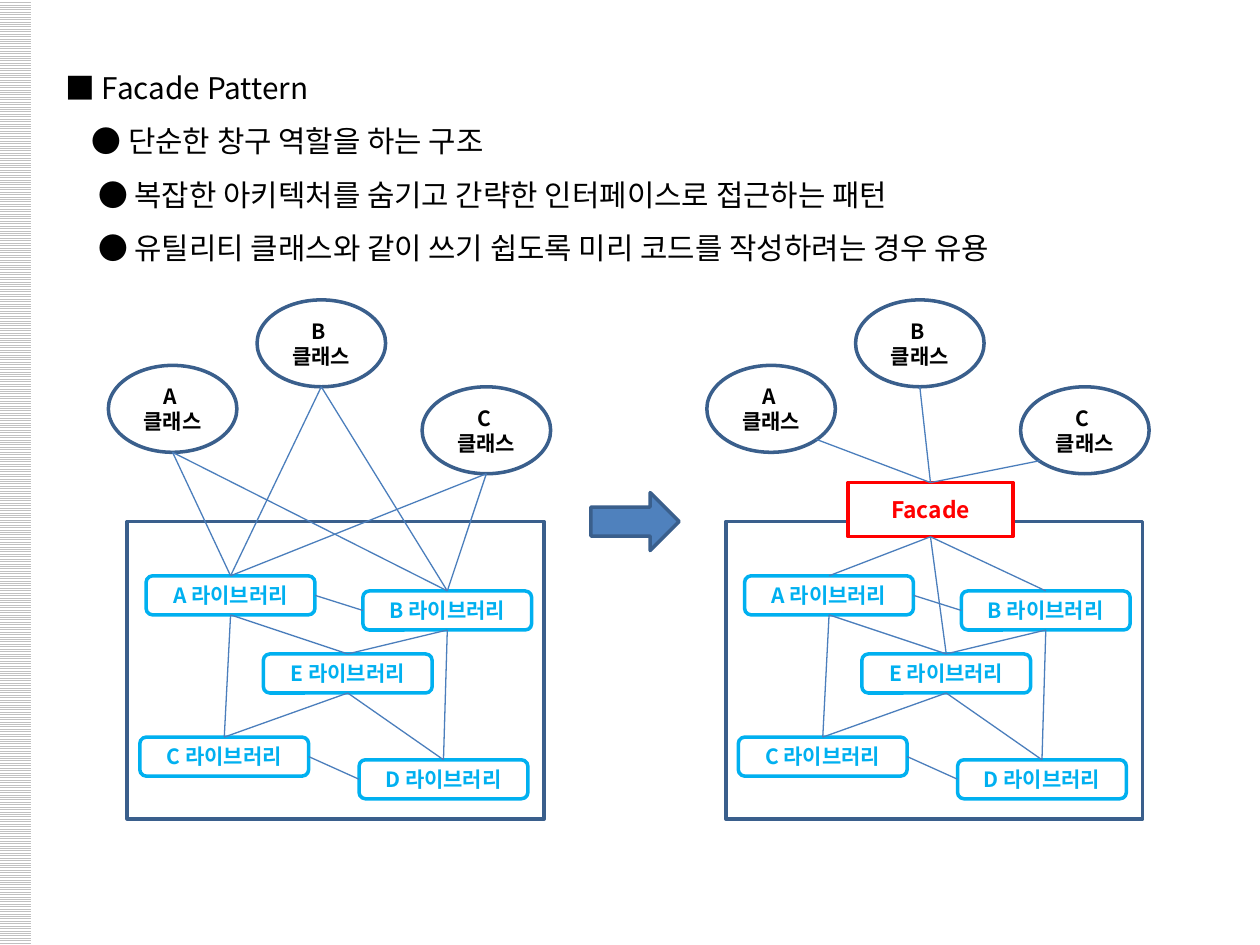
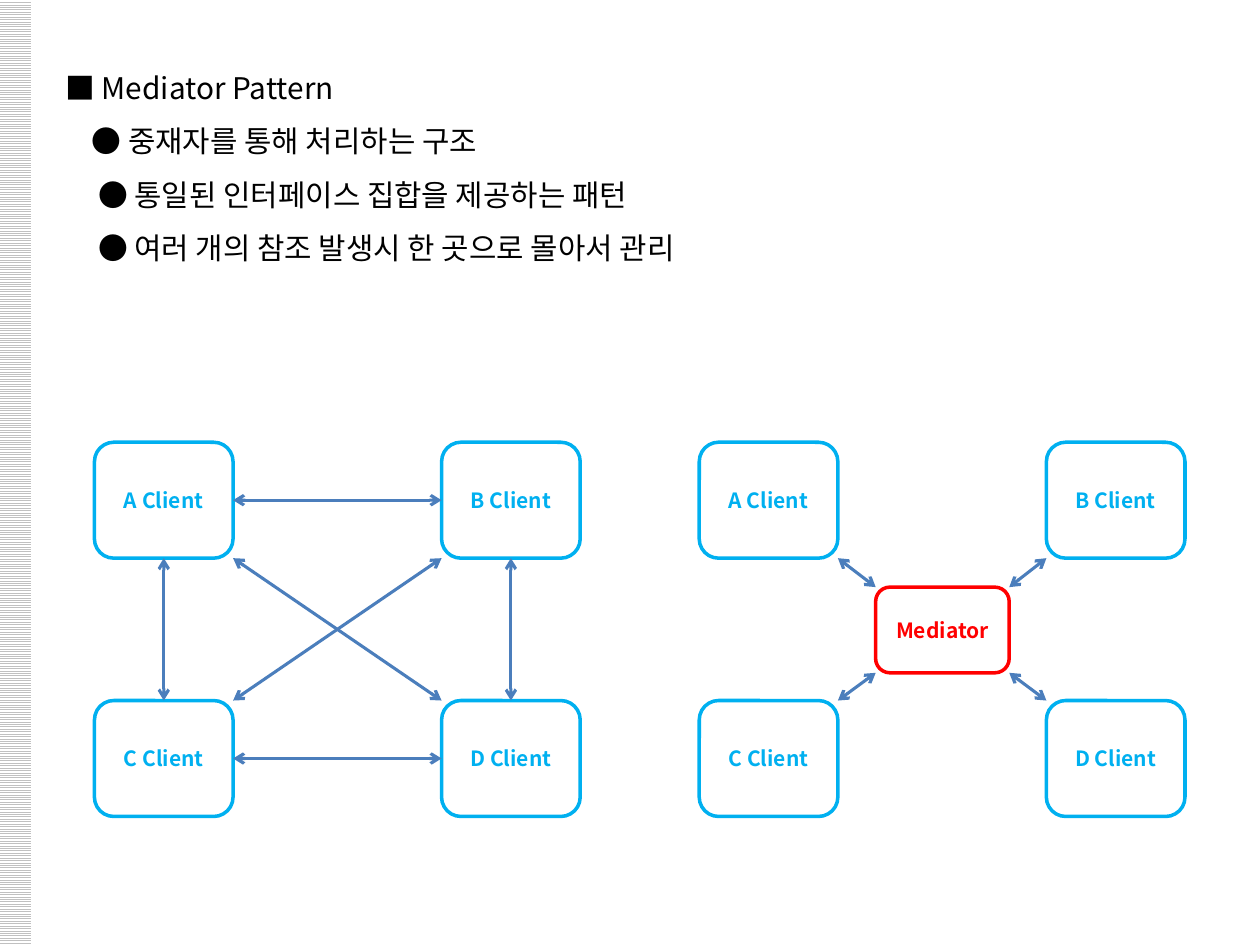
from lxml.etree import SubElement
from pptx import Presentation
from pptx.dml.color import RGBColor
from pptx.enum.dml import MSO_PATTERN
from pptx.enum.shapes import MSO_CONNECTOR, MSO_SHAPE
from pptx.enum.text import MSO_ANCHOR, PP_ALIGN
from pptx.oxml.ns import qn
from pptx.util import Inches, Pt

FONT = "Noto Sans CJK KR"
BLACK, WHITE, GREY = "000000", "FFFFFF", "C0C0C0"
NAVY, BLUE, LINK, SKY, RED = "3A5F8C", "4F81BD", "4B7EBC", "00B0F0", "FF0000"

TOP, LEFT, BOTTOM, RIGHT = (0.5, 0), (0, 0.5), (0.5, 1), (1, 0.5)
TOP_LEFT, TOP_RIGHT, BOTTOM_LEFT, BOTTOM_RIGHT = (0, 0), (1, 0), (0, 1), (1, 1)
ARC_LEFT, ARC_RIGHT = (0.15, 0.85), (0.85, 0.85)

CLASSES = {"A": (0.86, 2.9), "B": (2.04, 2.38), "C": (3.35, 3.07)}
LIBRARIES = {"A": (1.16, 4.57), "B": (2.88, 4.69), "C": (1.11, 5.85),
             "D": (2.85, 6.03), "E": (2.09, 5.19)}
LIBRARY_LINKS = [
    ("C", TOP, "A", BOTTOM), ("C", RIGHT, "D", LEFT),
    ("A", RIGHT, "B", LEFT), ("E", TOP, "B", BOTTOM),
    ("D", TOP, "B", BOTTOM), ("E", BOTTOM, "D", TOP),
    ("E", BOTTOM, "C", TOP), ("A", BOTTOM, "E", TOP),
]
CLIENT_LINKS = [
    ("A", BOTTOM, "C", TOP), ("A", RIGHT, "B", LEFT),
    ("D", LEFT, "C", RIGHT), ("B", BOTTOM, "D", TOP),
    ("A", BOTTOM_RIGHT, "D", TOP_LEFT), ("C", TOP_RIGHT, "B", BOTTOM_LEFT),
]
MEDIATOR_LINKS = [
    ("A", BOTTOM_RIGHT, TOP_LEFT), ("B", BOTTOM_LEFT, TOP_RIGHT),
    ("C", TOP_RIGHT, BOTTOM_LEFT), ("D", TOP_LEFT, BOTTOM_RIGHT),
]


def rgb(color):
    return RGBColor.from_string(color)


def write(p, text, size=12, color=BLACK, bold=False):
    r = p.add_run()
    r.text = text
    r.font.size = Pt(size)
    r.font.bold = bold
    r.font.color.rgb = rgb(color)
    r.font.name = FONT
    SubElement(r.font._element, qn("a:ea"), typeface=FONT)


class Deck:
    def __init__(self):
        self.prs = Presentation()
        self.prs.slide_width, self.prs.slide_height = Inches(10), Inches(7.5)

    def slide(self, title, bullets):
        self.s = self.prs.slides.add_slide(self.prs.slide_layouts[6])
        band = self.shape(MSO_SHAPE.RECTANGLE, (-0.01, 0, 0.26, 7.5))
        band.fill.patterned()
        band.fill.pattern = MSO_PATTERN.LIGHT_HORIZONTAL
        band.fill.fore_color.rgb = rgb(GREY)
        band.fill.back_color.rgb = rgb(WHITE)
        self.heading(title, bullets)

    def heading(self, title, bullets):
        tf = self.s.shapes.add_textbox(*map(Inches, (0.42, 0.36, 8.53, 1.82))).text_frame
        tf.word_wrap = True
        indents = [0, 0.21, 0.26, 0.26]
        lines = ["■ " + title] + ["● " + bullet for bullet in bullets]
        for i, (text, indent) in enumerate(zip(lines, indents)):
            p = tf.add_paragraph() if i else tf.paragraphs[0]
            p.line_spacing = 1.5
            p._p.get_or_add_pPr().set("marL", str(Inches(indent)))
            write(p, text, size=17)

    def shape(self, kind, box, line=None, fill=None, lines=(), **style):
        sp = self.s.shapes.add_shape(kind, *map(Inches, box))
        sp.shadow.inherit = False
        if fill:
            sp.fill.solid()
            sp.fill.fore_color.rgb = rgb(fill)
        else:
            sp.fill.background()
        if line:
            sp.line.color.rgb = rgb(line)
            sp.line.width = Pt(2)
        else:
            sp.line.fill.background()
        tf = sp.text_frame
        tf.word_wrap = True
        tf.vertical_anchor = MSO_ANCHOR.MIDDLE
        tf.margin_left = tf.margin_right = tf.margin_top = tf.margin_bottom = 0
        for i, text in enumerate(lines):
            p = tf.add_paragraph() if i else tf.paragraphs[0]
            p.alignment = PP_ALIGN.CENTER
            write(p, text, bold=True, **style)
        return sp

    def node(self, text, box, color=SKY):
        return self.shape(MSO_SHAPE.ROUNDED_RECTANGLE, box, color,
                          lines=[text], color=color)

    def link(self, start, start_side, end, end_side, width=0.75, arrows=False):
        ends = [(round(sp.left + sp.width * x), round(sp.top + sp.height * y))
                for sp, (x, y) in ((start, start_side), (end, end_side))]
        c = self.s.shapes.add_connector(MSO_CONNECTOR.STRAIGHT, *ends[0], *ends[1])
        c.line.color.rgb = rgb(LINK)
        c.line.width = Pt(width)
        spPr = c._element.spPr
        if arrows:
            for tag in ("a:headEnd", "a:tailEnd"):
                SubElement(spPr.find(qn("a:ln")), qn(tag), type="arrow")
        SubElement(spPr, qn("a:effectLst"))

    def library_system(self, dx):
        self.shape(MSO_SHAPE.RECTANGLE, (1.01 + dx, 4.14, 3.31, 2.36), NAVY)
        libraries = {name: self.node(f"{name} 라이브러리", (x + dx, y, 1.34, 0.31))
                     for name, (x, y) in LIBRARIES.items()}
        for a, a_side, b, b_side in LIBRARY_LINKS:
            self.link(libraries[a], a_side, libraries[b], b_side)
        classes = {name: self.shape(MSO_SHAPE.OVAL, (x + dx, y, 1.02, 0.69), NAVY,
                                    lines=[name + " ", "클래스"])
                   for name, (x, y) in CLASSES.items()}
        return classes, libraries

    def clients(self, left):
        return {name: self.node(f"{name} Client",
                                (left + 2.755 * (i % 2), 3.51 + 2.05 * (i // 2), 1.1, 0.92))
                for i, name in enumerate("ABCD")}


def facade_slide(deck):
    deck.slide("Facade Pattern", [
        "단순한 창구 역할을 하는 구조",
        "복잡한 아키텍처를 숨기고 간략한 인터페이스로 접근하는 패턴",
        "유틸리티 클래스와 같이 쓰기 쉽도록 미리 코드를 작성하려는 경우 유용",
    ])
    classes, libraries = deck.library_system(0)
    for oval in classes.values():
        for name in "AB":
            deck.link(oval, BOTTOM, libraries[name], TOP)

    classes, libraries = deck.library_system(4.75)
    deck.shape(MSO_SHAPE.RIGHT_ARROW, (4.69, 3.91, 0.7, 0.46), NAVY, BLUE)
    facade = deck.shape(MSO_SHAPE.RECTANGLE, (6.73, 3.83, 1.31, 0.43), RED, WHITE,
                        ["Facade"], size=13, color=RED)
    for name, side in (("A", ARC_RIGHT), ("B", BOTTOM), ("C", ARC_LEFT)):
        deck.link(facade, TOP, classes[name], side)
    for name in "ABE":
        deck.link(libraries[name], TOP, facade, BOTTOM)


def mediator_slide(deck):
    deck.slide("Mediator Pattern", [
        "중재자를 통해 처리하는 구조",
        "통일된 인터페이스 집합을 제공하는 패턴",
        "여러 개의 참조 발생시 한 곳으로 몰아서 관리",
    ])
    clients = deck.clients(0.75)
    for a, a_side, b, b_side in CLIENT_LINKS:
        deck.link(clients[a], a_side, clients[b], b_side, 1.75, True)

    clients = deck.clients(5.55)
    mediator = deck.node("Mediator", (6.95, 4.66, 1.06, 0.68), RED)
    for name, side, mediator_side in MEDIATOR_LINKS:
        deck.link(clients[name], side, mediator, mediator_side, 1.75, True)


def main():
    deck = Deck()
    facade_slide(deck)
    mediator_slide(deck)
    deck.prs.save("out.pptx")


if __name__ == "__main__":
    main()
